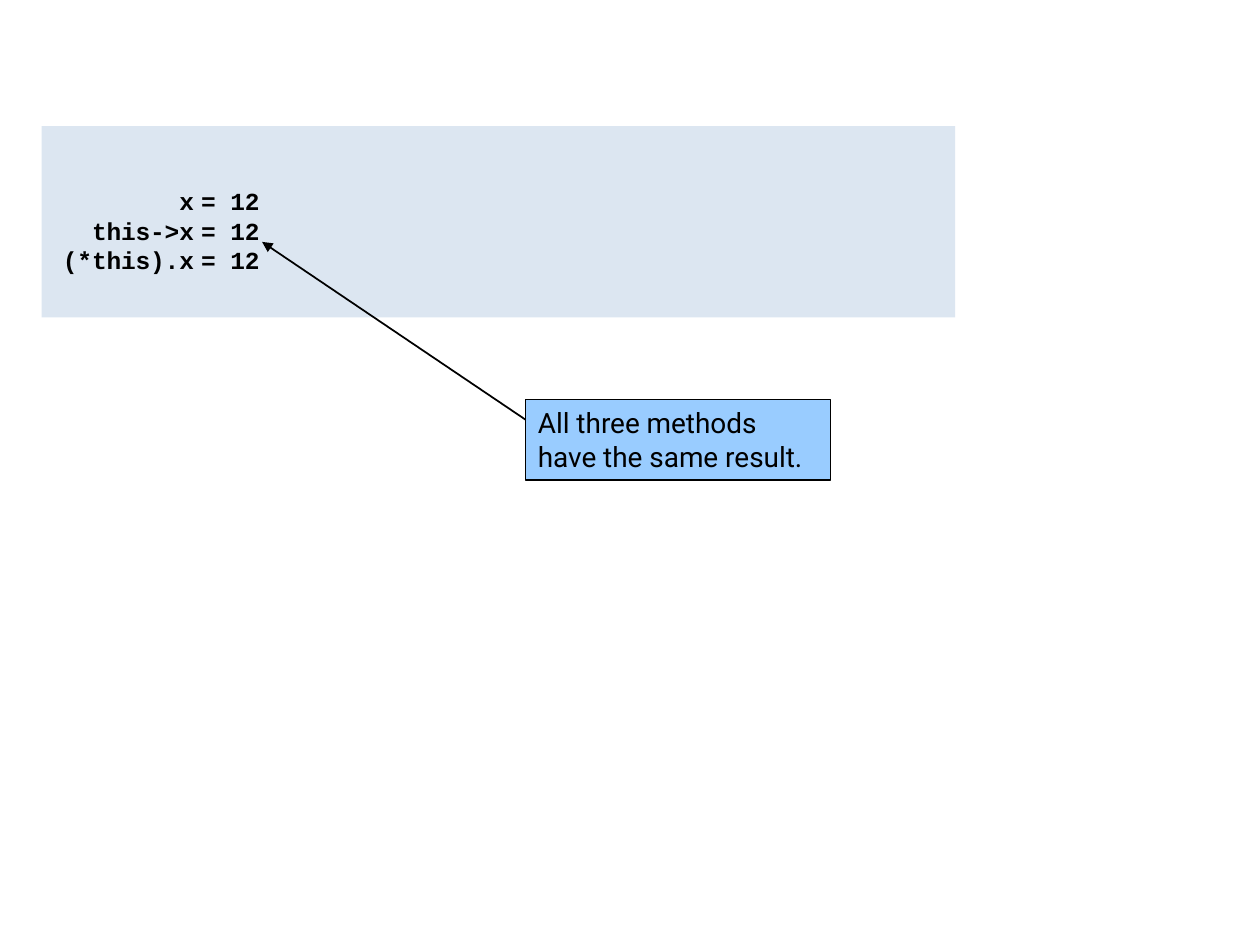
from lxml import etree
from pptx import Presentation
from pptx.dml.color import RGBColor
from pptx.enum.shapes import MSO_CONNECTOR, MSO_SHAPE
from pptx.enum.text import MSO_ANCHOR, PP_ALIGN
from pptx.oxml.ns import qn
from pptx.util import Inches, Pt

RECT, STRAIGHT = MSO_SHAPE.RECTANGLE, MSO_CONNECTOR.STRAIGHT
TOP = MSO_ANCHOR.TOP
LEFT, CENTER, RIGHT = PP_ALIGN.LEFT, PP_ALIGN.CENTER, PP_ALIGN.RIGHT

BLACK, PANEL, CALLOUT = "000000", "DCE6F1", "99CCFF"
NO_STYLE = "{2D5ABB26-0587-4C30-8999-92F81FD0307C}"

STATEMENTS = [("x", "=", "12"), ("this->x", "=", "12"), ("(*this).x", "=", "12")]
COLUMNS = [(1.14, RIGHT, -0.1), (0.23, CENTER, -0.5), (0.33, CENTER, -0.2)]
LINE_SPACING = [14.5, 14.9, 14.9]
ROW_HEIGHT = 0.23
NOTE = "All three methods have the same result."


def rgb(value):
    return RGBColor.from_string(value)


def add_text(tf, text, font, size, bold=False, align=LEFT, spacing=None, track=0, indent=0):
    p = tf.paragraphs[0]
    p.alignment = align
    if spacing:
        p.line_spacing = Pt(spacing)
    if indent:
        p._p.get_or_add_pPr().set("marL", str(Inches(indent)))
    r = p.add_run()
    r.text = text
    r.font.name, r.font.size, r.font.bold = font, Pt(size), bold
    r.font.color.rgb = rgb(BLACK)
    if track:
        r._r.get_or_add_rPr().set("spc", str(round(track * 100)))


def add_box(s, x, y, w, h, fill, line=None):
    sp = s.shapes.add_shape(RECT, Inches(x), Inches(y), Inches(w), Inches(h))
    sp.shadow.inherit = False
    sp.fill.solid()
    sp.fill.fore_color.rgb = rgb(fill)
    if line:
        sp.line.color.rgb = rgb(line)
        sp.line.width = Pt(0.75)
    else:
        sp.line.fill.background()
    return sp


def set_margins(target, left=0, top=0, right=0, bottom=0):
    target.margin_left, target.margin_top = Inches(left), Inches(top)
    target.margin_right, target.margin_bottom = Inches(right), Inches(bottom)


def add_statements(s, x, y):
    width = sum(col[0] for col in COLUMNS)
    height = ROW_HEIGHT * len(STATEMENTS)
    table = s.shapes.add_table(len(STATEMENTS), len(COLUMNS), Inches(x), Inches(y),
                               Inches(width), Inches(height)).table
    table.first_row = table.horz_banding = False
    table._tbl.tblPr.find(qn("a:tableStyleId")).text = NO_STYLE
    for i, (w, align, track) in enumerate(COLUMNS):
        table.columns[i].width = Inches(w)
        for j, row in enumerate(STATEMENTS):
            cell = table.cell(j, i)
            set_margins(cell)
            cell.fill.solid()
            cell.fill.fore_color.rgb = rgb(PANEL)
            add_text(cell.text_frame, row[i], "Courier New", 14, bold=True, align=align,
                     spacing=LINE_SPACING[j], track=track, indent=0.02 if i == 2 else 0)
    for row in table.rows:
        row.height = Inches(ROW_HEIGHT)


def add_arrow(s, x1, y1, x2, y2):
    line = s.shapes.add_connector(STRAIGHT, Inches(x1), Inches(y1), Inches(x2), Inches(y2))
    line.line.color.rgb = rgb(BLACK)
    line.line.width = Pt(1)
    etree.SubElement(line.line._get_or_add_ln(), qn("a:tailEnd"), type="triangle")
    etree.SubElement(line._element.spPr, qn("a:effectLst"))


def main():
    prs = Presentation()
    prs.slide_width, prs.slide_height = Inches(10), Inches(7.5)
    s = prs.slides.add_slide(prs.slide_layouts[6])

    add_box(s, 0.33, 1, 7.25, 1.52, PANEL)
    add_statements(s, 0.4, 1.53)

    note = add_box(s, 4.17, 3.17, 2.42, 0.64, CALLOUT, BLACK)
    tf = note.text_frame
    tf.word_wrap = True
    tf.vertical_anchor = TOP
    set_margins(tf, left=0.1, top=0.05, right=0.15)
    add_text(tf, NOTE, "Roboto", 16)

    add_arrow(s, 4.17, 3.33, 2.08, 1.92)
    prs.save("out.pptx")


if __name__ == "__main__":
    main()
